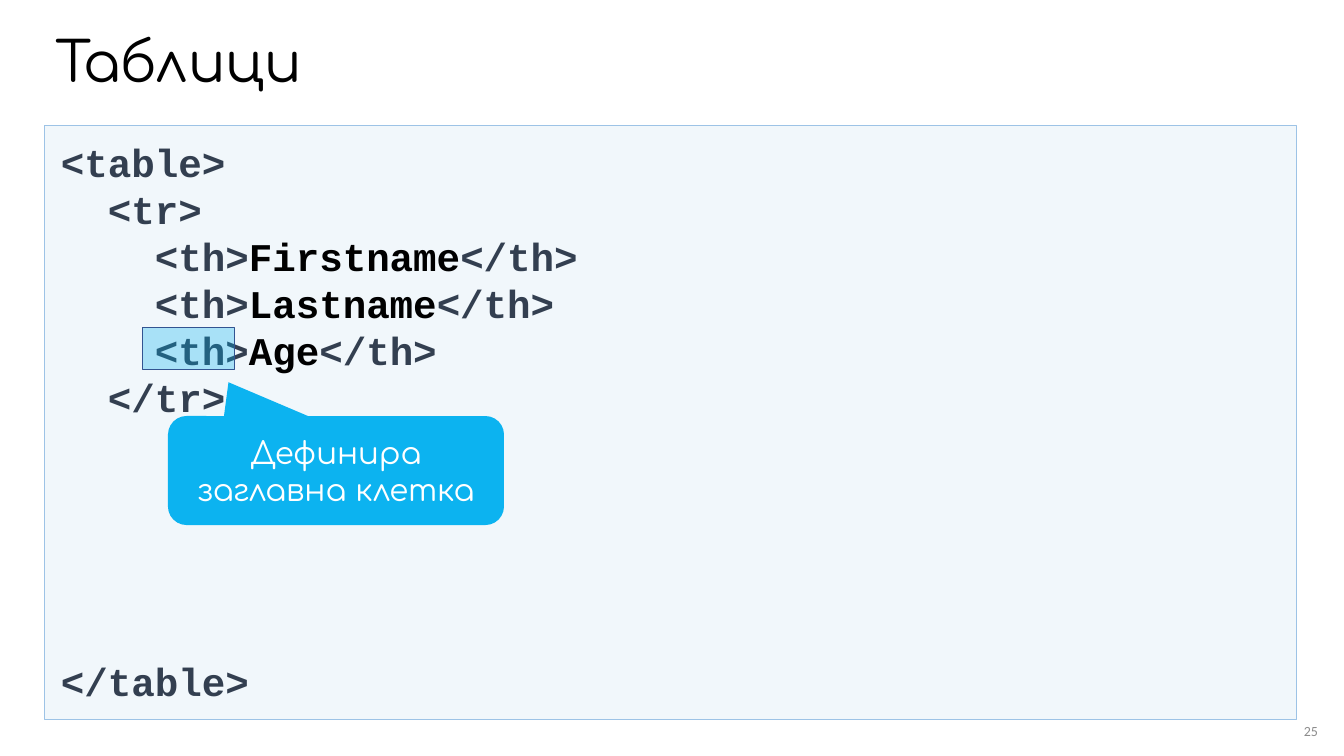
from pptx import Presentation
from pptx.dml.color import RGBColor
from pptx.enum.shapes import MSO_SHAPE
from pptx.enum.text import MSO_ANCHOR, PP_ALIGN
from pptx.oxml.ns import qn
from pptx.util import Pt
from lxml.etree import SubElement

TITLE = "Таблици"
NOTE = "Дефинира заглавна клетка"
PAGE = "25"
CODE = [
    ("<table>",),
    ("  <tr>",),
    ("    <th>", "Firstname", "</th>"),
    ("    <th>", "Lastname", "</th>"),
    ("    <th>", "Age", "</th>"),
    ("  </tr>",),
    ("</table>",),
]
GAP = Pt(169)

BLACK = RGBColor(0, 0, 0)
WHITE = RGBColor(255, 255, 255)
SLATE = RGBColor(0x33, 0x3F, 0x50)
GREY = RGBColor(0x8C, 0x8C, 0x8C)
PALE = RGBColor(0xBD, 0xD7, 0xEE)
EDGE = RGBColor(0x9D, 0xC3, 0xE6)
SKY = RGBColor(0, 0xB0, 0xF0)
NAVY = RGBColor(0x32, 0x54, 0x91)

HEAD = dict(name="Comfortaa", size=Pt(39.6))
CALL = dict(name="Comfortaa", size=Pt(22))
MONO = dict(name="Courier New", size=Pt(28), bold=True)
FOOT = dict(name="Calibri", size=Pt(10))

SCALE = 914400 / 100.8


def px(*nums):
    return [round(n * SCALE) for n in nums]


def style(item, form):
    for key, val in form.items():
        setattr(item, key, val)


def write(para, text, form, color):
    run = para.add_run()
    run.text = text
    style(run.font, form)
    run.font.color.rgb = color


def inset(frame, side, top):
    side, top = px(side, top)
    style(frame, dict(margin_left=side, margin_right=side,
                      margin_top=top, margin_bottom=top, word_wrap=True))


def draw(kind, box, fill, alpha, line=None):
    shape = slide.shapes.add_shape(kind, *px(*box))
    shape.shadow.inherit = False
    shape.fill.solid()
    shape.fill.fore_color.rgb = fill
    color = shape.fill._xPr.find(qn("a:solidFill"))[0]
    SubElement(color, qn("a:alpha")).set("val", str(alpha * 1000))
    if line is None:
        shape.line.fill.background()
    else:
        shape.line.color.rgb = line
        shape.line.width = Pt(0.75)
    return shape


deck = Presentation()
deck.slide_width, deck.slide_height = px(1344, 756)
slide = deck.slides.add_slide(deck.slide_layouts[5])

title = slide.shapes.title
style(title, dict(zip(("left", "top", "width", "height"), px(45, 30, 1207, 69))))
title.text_frame.vertical_anchor = MSO_ANCHOR.MIDDLE
para = title.text_frame.paragraphs[0]
style(para, dict(alignment=PP_ALIGN.LEFT, line_spacing=0.9))
write(para, TITLE, HEAD, BLACK)

foot = slide.shapes.add_textbox(*px(1275, 720, 47, 21)).text_frame
inset(foot, 4, 4)
foot.vertical_anchor = MSO_ANCHOR.MIDDLE
foot.paragraphs[0].alignment = PP_ALIGN.RIGHT
write(foot.paragraphs[0], PAGE, FOOT, GREY)

panel = draw(MSO_SHAPE.RECTANGLE, (45, 126, 1252, 594), PALE, 20, EDGE).text_frame
inset(panel, 16, 12)
panel.vertical_anchor = MSO_ANCHOR.TOP
for row, parts in enumerate(CODE):
    para = panel.add_paragraph() if row else panel.paragraphs[0]
    para.alignment = PP_ALIGN.LEFT
    for col, part in enumerate(parts):
        write(para, part, MONO, BLACK if col == 1 else SLATE)
para.space_before = GAP

call = draw(MSO_SHAPE.ROUNDED_RECTANGULAR_CALLOUT, (168, 416, 336, 109), SKY, 95)
for spot, val in enumerate((-0.32, -0.81, 0.17)):
    call.adjustments[spot] = val
call.text_frame.word_wrap = True
call.text_frame.vertical_anchor = MSO_ANCHOR.MIDDLE
para = call.text_frame.paragraphs[0]
para.alignment = PP_ALIGN.CENTER
write(para, NOTE, CALL, WHITE)

draw(MSO_SHAPE.RECTANGLE, (143, 328, 92, 42), SKY, 30, NAVY)

deck.save("out.pptx")
